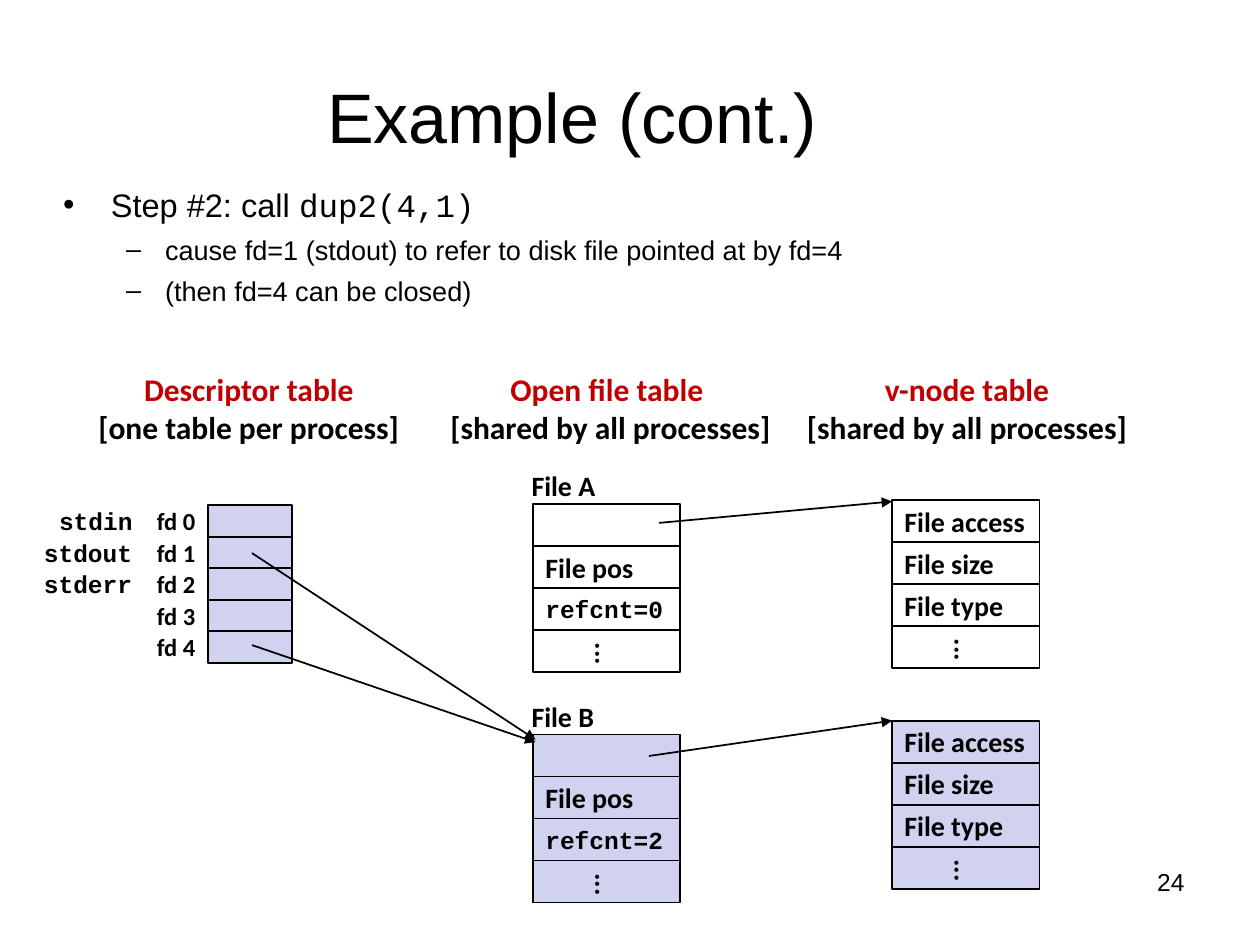
from pptx import Presentation
from pptx.dml.color import RGBColor
from pptx.enum.shapes import MSO_CONNECTOR as Connector, MSO_SHAPE as Shape
from pptx.enum.text import MSO_ANCHOR as Anchor, MSO_AUTO_SIZE as AutoSize, PP_ALIGN as Align
from pptx.oxml.ns import qn
from pptx.util import Inches, Pt
from lxml.etree import SubElement

# Content
TITLE = "Example (cont.)"
BODY = [  # level, runs of (text, font)
    (0, [("Step #2: call ", "Arial"), ("dup2(4,1)", "Courier New")]),
    (1, [("cause fd=1 (stdout) to refer to disk file pointed at by fd=4", "Arial")]),
    (1, [("(then fd=4 can be closed)", "Arial")]),
]
LEVELS = [  # bullet, size, left margin, hanging indent, space before
    ("•", 18.6, 0.38, 0.38, 6),
    ("–", 15.5, 0.81, 0.31, 5),
]
HEADINGS = [  # left, width, name, scope
    (0.68, 2.59, "Descriptor table", "[one table per process]"),
    (3.47, 2.75, "Open file table ", "[shared by all processes]"),
    (6.3, 2.75, "v-node table", "[shared by all processes]"),
]
STREAMS = [("stdin", 0.37), ("stdout", 0.25), ("stderr", 0.25)]
DOTS = "..."
WHITE, LILAC, BLACK, RED = "FFFFFF", "D1D1F0", "000000", "C00000"
VNODE_ROWS = ["File access", "File size", "File type", DOTS]
RECORDS = [  # left, top, fill, rows
    (4.23, 4, WHITE, ["", "File pos", "refcnt=0", DOTS]),
    (4.23, 5.83, LILAC, ["", "File pos", "refcnt=2", DOTS]),
    (7.08, 3.97, WHITE, VNODE_ROWS),
    (7.08, 5.72, LILAC, VNODE_ROWS),
]
FILE_LABELS = [("File A", 3.67), ("File B", 5.5)]
ARROWS = [  # from x, y, to x, y
    (2, 4.39, 4.25, 5.87),
    (2, 5.12, 4.25, 5.89),
    (5.23, 4.15, 7.08, 3.98),
    (5.15, 6, 7.08, 5.72),
]

# Grid
FD_COUNT, FD_LEFT, FD_TOP, FD_WIDTH, FD_HEIGHT = 5, 1.65, 4.01, 0.67, 0.25
STREAM_RIGHT, STREAM_HEIGHT = 1.18, 0.34
CELL_WIDTH, CELL_HEIGHT = 1.17, 1 / 3

presentation = Presentation()
presentation.slide_width, presentation.slide_height = Inches(10), Inches(7.5)
slide = presentation.slides.add_slide(presentation.slide_layouts[1])


def color(value):
    return RGBColor.from_string(value)


def place(shape, left, top, width, height):
    shape.left, shape.top = Inches(left), Inches(top)
    shape.width, shape.height = Inches(width), Inches(height)


def add_run(paragraph, text, size=16, font="Calibri", fill=BLACK, bold=True):
    run = paragraph.add_run()
    run.text = text
    run.font.size, run.font.name, run.font.bold = Pt(size), font, bold
    run.font.color.rgb = color(fill)


def write(shape, lines, align=Align.LEFT, anchor=Anchor.MIDDLE, wrap=False,
          fills=(BLACK, BLACK), **style):
    frame = shape.text_frame
    frame.auto_size = AutoSize.NONE
    frame.word_wrap, frame.vertical_anchor = wrap, anchor
    for index, (text, fill) in enumerate(zip(lines, fills)):
        paragraph = frame.add_paragraph() if index else frame.paragraphs[0]
        paragraph.alignment = align
        add_run(paragraph, text, fill=fill, **style)


def add_label(box, *lines, **style):
    write(slide.shapes.add_textbox(*map(Inches, box)), lines, **style)


def add_cell(left, top, width, height, fill, text=""):
    cell = slide.shapes.add_shape(Shape.RECTANGLE, *map(Inches, (left, top, width, height)))
    cell.shadow.inherit = False
    cell.fill.solid()
    cell.fill.fore_color.rgb = color(fill)
    cell.line.color.rgb, cell.line.width = color(BLACK), Pt(1)
    if not text:
        return
    is_code = text.startswith("refcnt")
    write(cell, [text], size=14 if is_code else 16,
          font="Courier New" if is_code else "Calibri")
    if text == DOTS:  # vertical ellipsis
        frame = cell.text_frame
        frame.margin_left = frame.margin_right = Inches(0.05)
        frame.margin_top = frame.margin_bottom = Inches(0.1)
        frame._txBody.bodyPr.set("vert", "eaVert")


def add_arrow(*ends):
    arrow = slide.shapes.add_connector(Connector.STRAIGHT, *map(Inches, ends))
    arrow.line.color.rgb, arrow.line.width = color(BLACK), Pt(1)
    SubElement(arrow.line._get_or_add_ln(), qn("a:tailEnd"), type="triangle")
    SubElement(arrow._element.spPr, qn("a:effectLst"))


# Title
title, body = slide.placeholders
place(title, 0.39, 0.5, 8.3, 0.83)
write(title, [TITLE], align=Align.CENTER, wrap=True, size=40, font="Arial", bold=False)

# Bulleted list
place(body, 0.4, 1.42, 9.43, 1.08)
body.text_frame.auto_size = AutoSize.NONE
for index, (level, runs) in enumerate(BODY):
    bullet, size, margin, hanging, before = LEVELS[level]
    paragraph = body.text_frame.add_paragraph() if index else body.text_frame.paragraphs[0]
    paragraph.level = level
    paragraph.space_before = Pt(before if index else 0)
    properties = paragraph._p.get_or_add_pPr()
    properties.set("marL", str(Inches(margin)))
    properties.set("indent", str(-Inches(hanging)))
    bullet_color = SubElement(properties, qn("a:buClr"))
    SubElement(bullet_color, qn("a:srgbClr"), val=BLACK)
    SubElement(properties, qn("a:buChar"), char=bullet)
    for text, font in runs:
        add_run(paragraph, text, size=size, font=font, bold=False)

# Slide number
add_label((7.17, 6.83, 2.33, 0.52), "24", align=Align.RIGHT, anchor=Anchor.TOP,
          wrap=True, size=14, font="Arial", bold=False)

# Table headings
for left, width, name, scope in HEADINGS:
    add_label((left, 2.89, width, 0.7), name, scope, fills=(RED, BLACK),
              align=Align.CENTER, size=18)

# Descriptor table
for row in range(FD_COUNT):
    top = FD_TOP + row * FD_HEIGHT
    add_cell(FD_LEFT, top, FD_WIDTH, FD_HEIGHT, LILAC)
    add_label((FD_LEFT - FD_WIDTH, top, FD_WIDTH, FD_HEIGHT), f"fd {row}",
              align=Align.RIGHT, size=14)
for row, (name, left) in enumerate(STREAMS):
    top = FD_TOP + row * FD_HEIGHT - (STREAM_HEIGHT - FD_HEIGHT) / 2
    add_label((left, top, STREAM_RIGHT - left, STREAM_HEIGHT), name,
              size=14, font="Courier New")

# Open file and v-node records
for left, top, fill, rows in RECORDS:
    for row, text in enumerate(rows):
        add_cell(left, top + row * CELL_HEIGHT, CELL_WIDTH, CELL_HEIGHT, fill, text)
for name, top in FILE_LABELS:
    add_label((4.12, top, 0.75, 0.37), name)

# Pointers
for ends in ARROWS:
    add_arrow(*ends)

presentation.save("out.pptx")
